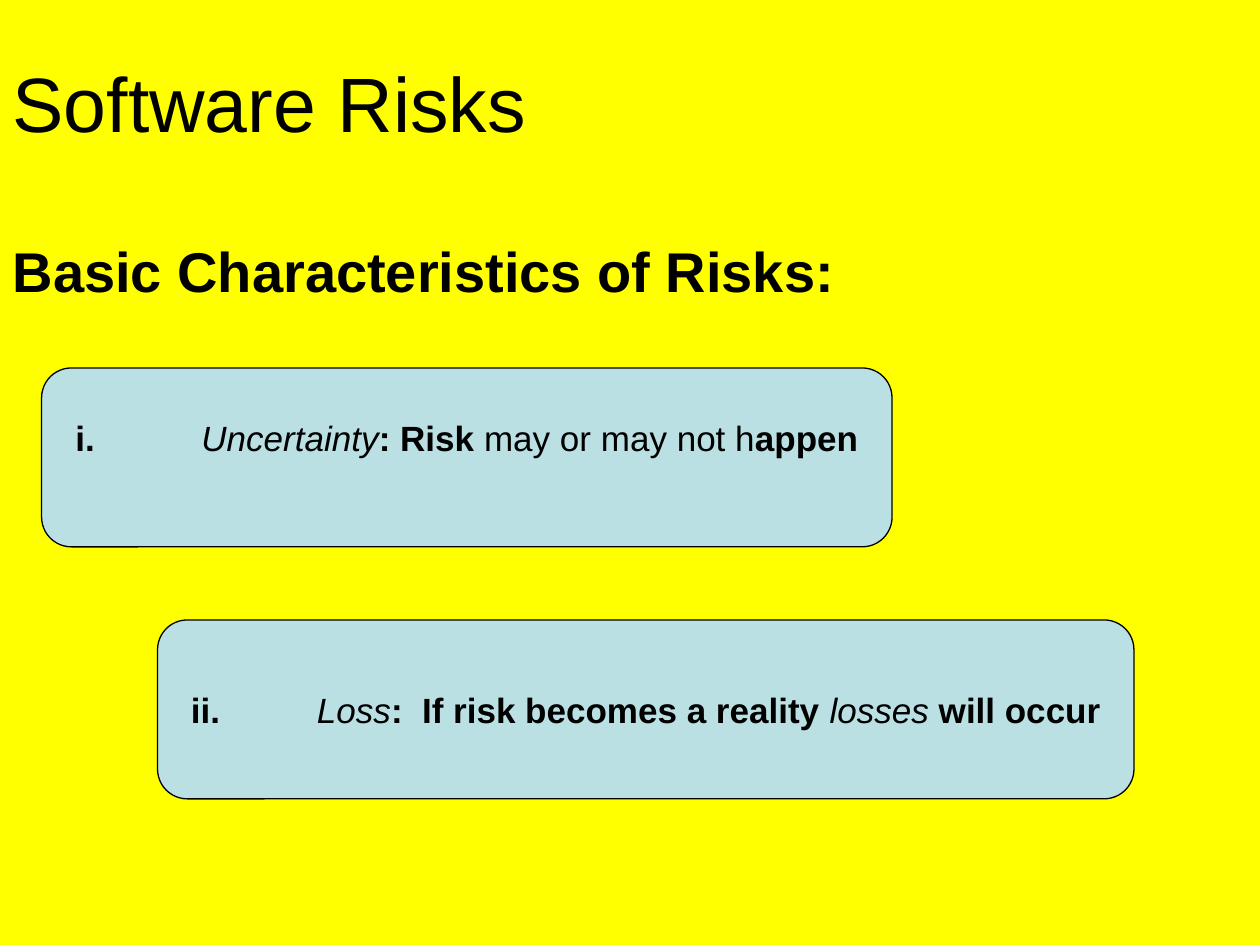
import pptx
import pptx.dml.color
import pptx.enum.shapes
import pptx.enum.text
import pptx.oxml
import pptx.util
from pptx.util import Inches

BLACK = pptx.dml.color.RGBColor(0x00, 0x00, 0x00)
YELLOW = pptx.dml.color.RGBColor(0xFF, 0xFF, 0x00)
PALE_BLUE = pptx.dml.color.RGBColor(0xBB, 0xE0, 0xE3)
ALIGN = pptx.enum.text.PP_ALIGN
ANCHOR = pptx.enum.text.MSO_ANCHOR


def add_run(paragraph, text, size, bold=False, italic=False):
    run = paragraph.add_run()
    run.text = text
    run.font.color.rgb = BLACK
    formats = {"name": "Arial", "size": pptx.util.Pt(size), "bold": bold, "italic": italic}
    for attribute, value in formats.items():
        setattr(run.font, attribute, value)


deck = pptx.Presentation()
deck.slide_width, deck.slide_height = Inches(10), Inches(7.5)
slide = deck.slides.add_slide(deck.slide_layouts[0])
slide.background.fill.solid()
slide.background.fill.fore_color.rgb = YELLOW

# Title and subheading: placeholder, top, width, height, anchor, text, size, bold
headings = [
    (slide.shapes.title, 0, 8.5, 1.61, ANCHOR.MIDDLE, "Software Risks", 44, False),
    (slide.placeholders[1], 1.83, 9.75, 5.67, ANCHOR.TOP,
     "Basic Characteristics of Risks:", 32, True),
]
for heading, top, width, height, anchor, text, size, bold in headings:
    heading.left, heading.top = Inches(0), Inches(top)
    heading.width, heading.height = Inches(width), Inches(height)
    heading.text_frame.vertical_anchor = anchor
    heading.text_frame.auto_size = pptx.enum.text.MSO_AUTO_SIZE.NONE
    paragraph = heading.text_frame.paragraphs[0]
    paragraph.alignment = ALIGN.LEFT
    paragraph.space_before = pptx.util.Pt(0)
    add_run(paragraph, text, size, bold)

# Characteristics: left, top, width, bottom inset, runs of (text, bold, italic)
characteristics = [
    (0.33, 2.92, 6.75, 0.37, [
        ("i.\t", True, False),
        ("Uncertainty", False, True),
        (": Risk ", True, False),
        ("may or may not h", False, False),
        ("appen", True, False),
    ]),
    (1.25, 4.92, 7.75, 0.05, [
        ("ii.\t", True, False),
        ("Loss", False, True),
        (":  If risk becomes a reality ", True, False),
        ("losses", False, True),
        (" will occur", True, False),
    ]),
]
for left, top, width, bottom_inset, runs in characteristics:
    box = slide.shapes.add_shape(
        pptx.enum.shapes.MSO_SHAPE.ROUNDED_RECTANGLE,
        Inches(left), Inches(top), Inches(width), Inches(1.42))
    box.shadow.inherit = False
    box.fill.solid()
    box.fill.fore_color.rgb = PALE_BLUE
    box.line.color.rgb = BLACK
    box.line.width = pptx.util.Pt(0.75)
    frame_formats = {
        "word_wrap": False,
        "vertical_anchor": ANCHOR.MIDDLE,
        "margin_bottom": Inches(bottom_inset),
    }
    for attribute, value in frame_formats.items():
        setattr(box.text_frame, attribute, value)
    paragraph = box.text_frame.paragraphs[0]
    paragraph.alignment = ALIGN.CENTER
    properties = paragraph._p.get_or_add_pPr()
    tab_stops = pptx.oxml.parse_xml(
        '<a:tabLst xmlns:a="http://schemas.openxmlformats.org/drawingml/2006/main">'
        f'<a:tab pos="{Inches(1)}" algn="l"/></a:tabLst>')
    properties.append(tab_stops)
    for text, bold, italic in runs:
        add_run(paragraph, text, 20, bold, italic)

deck.save("out.pptx")
